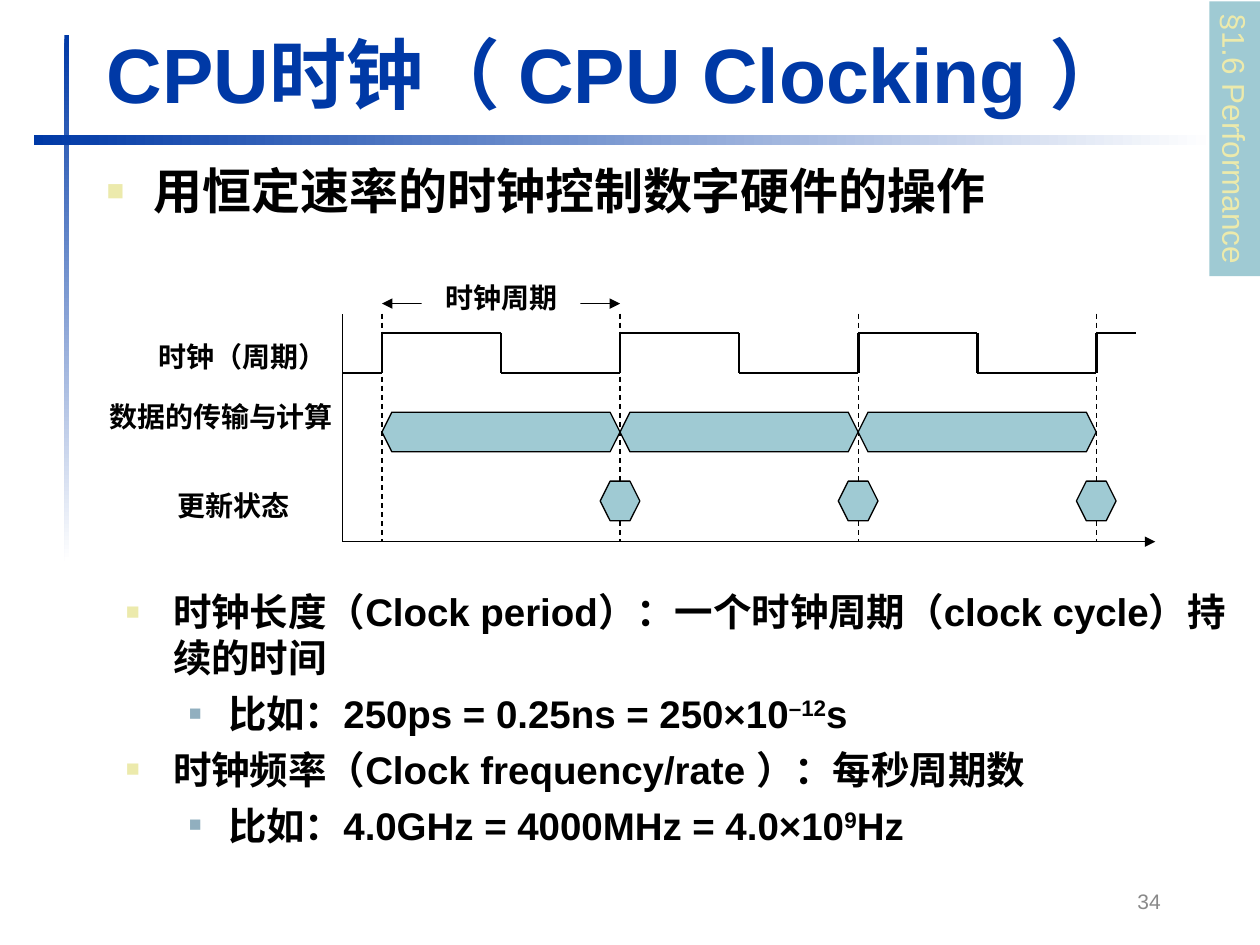
from dataclasses import dataclass

from lxml import etree
from pptx import Presentation
from pptx.dml.color import RGBColor
from pptx.enum.dml import MSO_LINE
from pptx.enum.shapes import MSO_CONNECTOR, MSO_SHAPE
from pptx.enum.text import MSO_ANCHOR, MSO_AUTO_SIZE, PP_ALIGN
from pptx.oxml.ns import qn
from pptx.util import Cm, Pt

LEFT, CENTER, RIGHT = PP_ALIGN.LEFT, PP_ALIGN.CENTER, PP_ALIGN.RIGHT
TOP, MIDDLE, BOTTOM = MSO_ANCHOR.TOP, MSO_ANCHOR.MIDDLE, MSO_ANCHOR.BOTTOM
STRAIGHT, DASH = MSO_CONNECTOR.STRAIGHT, MSO_LINE.DASH
RECTANGLE, HEXAGON = MSO_SHAPE.RECTANGLE, MSO_SHAPE.HEXAGON


@dataclass(frozen=True)
class Theme:
    font: str = "Arial"
    blue: str = "0039A6"
    teal: str = "9FCAD3"
    cream: str = "ECEAAC"
    steel: str = "91AFBF"
    black: str = "000000"
    white: str = "FFFFFF"
    grey: str = "898989"
    title: int = 44
    lead: int = 28
    body: int = 22
    tag: int = 18
    label: int = 16
    number: int = 12
    thin: float = 0.75
    thick: float = 1.5


theme = Theme()
# Bullet levels: left margin, hanging indent, colour, size in percent
BULLETS = [(0.95, 0.95, theme.cream, 60), (2.06, 0.79, theme.steel, 55)]


def write(shape, paragraphs, size, color=theme.black, bold=True, align=LEFT,
          anchor=TOP, wrap=False, before=0, bullets=False):
    """Fill a shape with (level, [(text, baseline percent), ...]) paragraphs."""
    frame = shape.text_frame
    frame.word_wrap = wrap
    frame.auto_size = MSO_AUTO_SIZE.NONE
    frame.vertical_anchor = anchor
    for index, (level, runs) in enumerate(paragraphs):
        paragraph = frame.add_paragraph() if index else frame.paragraphs[0]
        paragraph.level = level
        paragraph.alignment = align
        paragraph.space_before = Pt(before)
        if bullets:
            margin, hanging, bullet_color, percent = BULLETS[level]
            props = paragraph._p.get_or_add_pPr()
            props.set("marL", str(Cm(margin)))
            props.set("indent", str(-Cm(hanging)))
            tint = etree.SubElement(props, qn("a:buClr"))
            etree.SubElement(tint, qn("a:srgbClr"), val=bullet_color)
            etree.SubElement(props, qn("a:buSzPct"), val=str(percent * 1000))
            etree.SubElement(props, qn("a:buFont"), typeface=theme.font)
            etree.SubElement(props, qn("a:buChar"), char="■")
        for text, baseline in runs:
            run = paragraph.add_run()
            run.text = text
            run.font.name = theme.font
            run.font.size = Pt(size)
            run.font.bold = bold
            run.font.color.rgb = RGBColor.from_string(color)
            if baseline:
                run._r.get_or_add_rPr().set("baseline", str(baseline * 1000))


def draw_line(x1, y1, x2, y2, width=theme.thin, dash=None, arrows=()):
    """Draw a black line; arrows names its headEnd and/or tailEnd."""
    line = slide.shapes.add_connector(STRAIGHT, Cm(x1), Cm(y1), Cm(x2), Cm(y2))
    line.line.color.rgb = RGBColor.from_string(theme.black)
    line.line.width = Pt(width)
    if dash:
        line.line.dash_style = dash
    for end in arrows:
        etree.SubElement(line.line._get_or_add_ln(), qn(f"a:{end}"), type="triangle")
    etree.SubElement(line._element.spPr, qn("a:effectLst"))


prs = Presentation()
prs.slide_width, prs.slide_height = Cm(25.4), Cm(19.05)
slide = prs.slides.add_slide(prs.slide_layouts[5])

# Title
title = slide.shapes.title
title.left, title.top, title.width, title.height = Cm(1.9), Cm(0.41), Cm(22.94), Cm(2.11)
write(title, [(0, [("CPU时钟（ CPU Clocking ）", 0)])], theme.title, theme.blue,
      anchor=BOTTOM, wrap=True)

# Fading bars beside and below the title
for x, y, width, height, angle in [(1.3, 0.71, 0.1, 10.6, 270), (0.69, 2.72, 23.8, 0.2, 0)]:
    bar = slide.shapes.add_shape(RECTANGLE, Cm(x), Cm(y), Cm(width), Cm(height))
    bar.shadow.inherit = False
    bar.line.fill.background()
    bar.fill.gradient()
    bar.fill.gradient_angle = angle
    for stop, position, color in zip(bar.fill.gradient_stops, (0, 1), (theme.blue, theme.white)):
        stop.position = position
        stop.color.rgb = RGBColor.from_string(color)

# Timing diagram grid: one rising edge per clock period
period, cycles = 4.8, 3
edges = [7.7 + period * i for i in range(cycles + 1)]
axis_x, axis_y, axis_top = 6.91, 10.92, 6.32
high, low = 6.71, 7.52
symbol = 0.8

# Clock period arrow and edge markers
draw_line(edges[0], 6.12, edges[1], 6.12, arrows=("headEnd", "tailEnd"))
for edge in edges:
    draw_line(edge, axis_top, edge, axis_y, dash=DASH)

# Clock signal
draw_line(axis_x, low, edges[0], low, theme.thick)
for edge in edges:
    draw_line(edge, high, edge, low, theme.thick)
for edge in edges[:-1]:
    middle = edge + period / 2
    draw_line(edge, high, middle, high, theme.thick)
    draw_line(middle, high, middle, low, theme.thick)
    draw_line(middle, low, edge + period, low, theme.thick)
draw_line(edges[-1], high, edges[-1] + symbol, high, theme.thick)

# Axes
draw_line(axis_x, axis_y, 23.29, axis_y, arrows=("tailEnd",))
draw_line(axis_x, axis_y, axis_x, axis_top)

# Data transfers span a period, state updates sit on its closing edge
transfers = [(edge, 8.31, period) for edge in edges[:-1]]
updates = [(edge - symbol / 2, 9.7, symbol) for edge in edges[1:]]
for x, y, width in transfers + updates:
    activity = slide.shapes.add_shape(HEXAGON, Cm(x), Cm(y), Cm(width), Cm(symbol))
    activity.adjustments[0] = 0.25
    activity.shadow.inherit = False
    activity.fill.solid()
    activity.fill.fore_color.rgb = RGBColor.from_string(theme.teal)
    activity.line.color.rgb = RGBColor.from_string(theme.black)
    activity.line.width = Pt(theme.thin)

# Gap in the period arrow, and section tag on the right edge
gap = slide.shapes.add_shape(RECTANGLE, Cm(8.5), Cm(5.92), Cm(3.2), Cm(0.4))
tag = slide.shapes.add_shape(RECTANGLE, Cm(22.12), Cm(2.29), Cm(5.54), Cm(1.02))
tag.rotation = 90
for panel, color in [(gap, theme.white), (tag, theme.teal)]:
    panel.shadow.inherit = False
    panel.fill.solid()
    panel.fill.fore_color.rgb = RGBColor.from_string(color)
    panel.line.fill.background()
write(tag, [(0, [("§1.6 Performance", 0)])], theme.tag, theme.cream, bold=False)

# Diagram labels
for text, x, y, width, align in [
    ("时钟周期", 8.74, 5.54, 2.74, CENTER),
    ("时钟（周期）", 2.95, 6.73, 3.89, LEFT),
    ("数据的传输与计算", 1.96, 7.92, 5.0, LEFT),
    ("更新状态", 3.33, 9.73, 2.74, LEFT),
]:
    label = slide.shapes.add_textbox(Cm(x), Cm(y), Cm(width), Cm(0.94))
    write(label, [(0, [(text, 0)])], theme.label, align=align)

# Lead statement
lead = slide.shapes.add_textbox(Cm(1.9), Cm(3.12), Cm(22.96), Cm(3.4))
write(lead, [(0, [("用恒定速率的时钟控制数字硬件的操作", 0)])], theme.lead,
      wrap=True, before=7, bullets=True)

# Definitions with examples
definitions = slide.shapes.add_textbox(Cm(2.29), Cm(11.73), Cm(22.81), Cm(5.41))
write(definitions, [
    (0, [("时钟长度（Clock period）：一个时钟周期（clock cycle）持续的时间", 0)]),
    (1, [("比如：250ps = 0.25ns = 250×10", 0), ("–12", 30), ("s", 0)]),
    (0, [("时钟频率（Clock frequency/rate ）：每秒周期数", 0)]),
    (1, [("比如：4.0GHz = 4000MHz = 4.0×10", 0), ("9", 30), ("Hz", 0)]),
], theme.body, wrap=True, before=5.5, bullets=True)

# Slide number
number = slide.shapes.add_textbox(Cm(17.93), Cm(17.65), Cm(5.72), Cm(1.02))
write(number, [(0, [("34", 0)])], theme.number, theme.grey, bold=False,
      align=RIGHT, anchor=MIDDLE, wrap=True)

prs.save("out.pptx")
